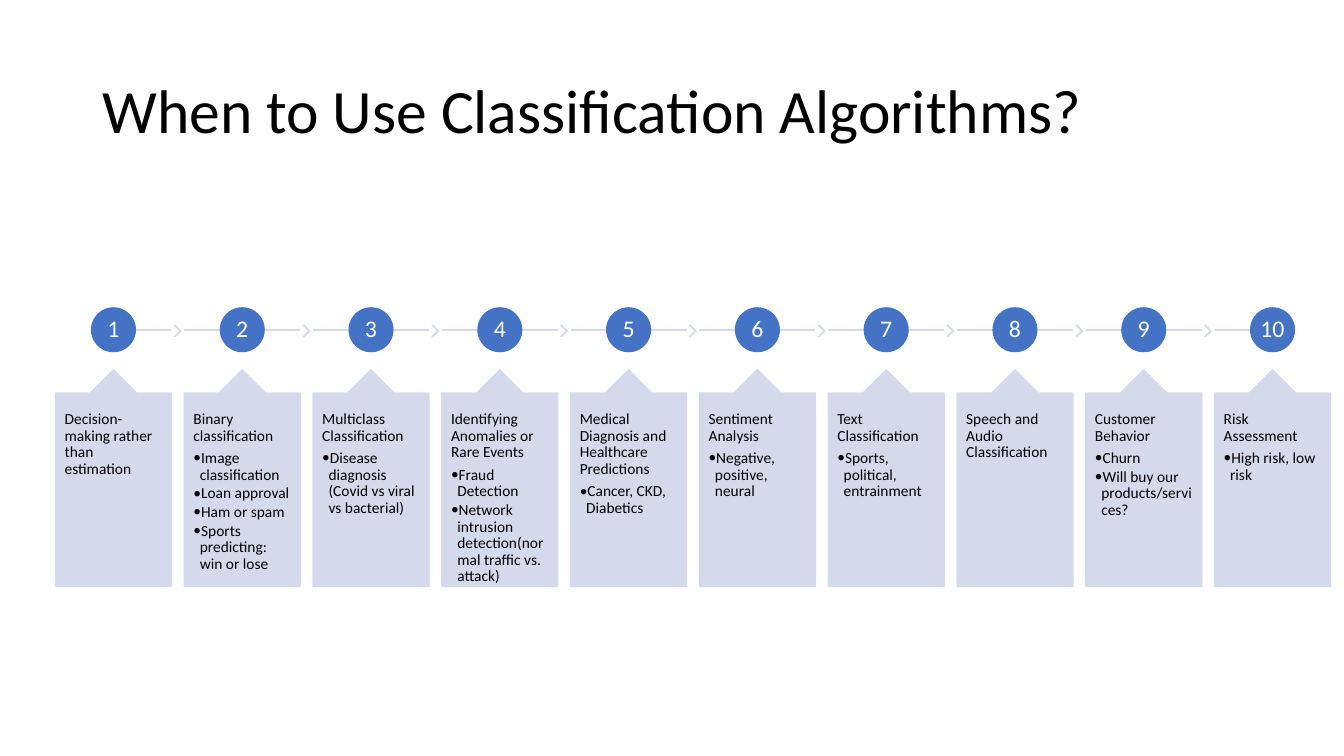
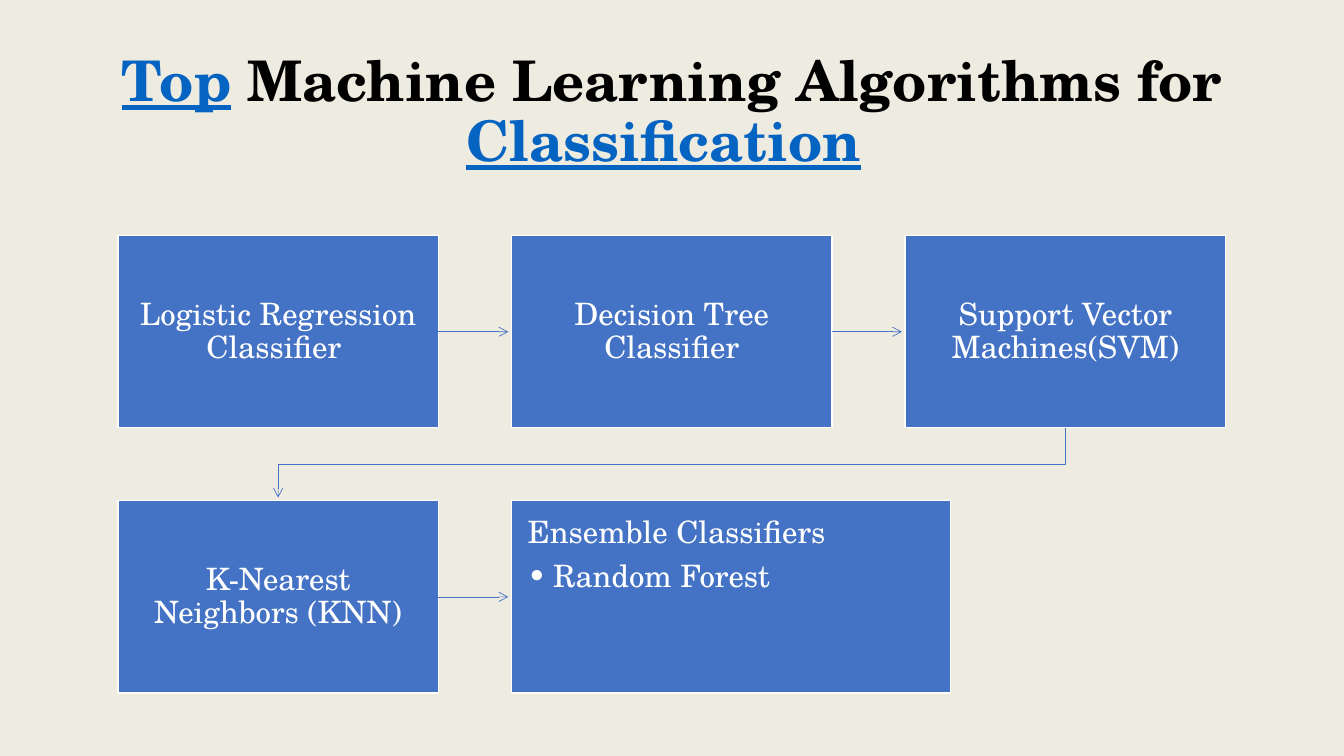
from dataclasses import dataclass

from lxml import etree
from pptx import Presentation
from pptx.dml.color import RGBColor
from pptx.enum import shapes as kinds, text as texts
from pptx.oxml.ns import qn
from pptx.util import Cm, Pt

BLACK = RGBColor(0x00, 0x00, 0x00)
WHITE = RGBColor(0xFF, 0xFF, 0xFF)
BLUE = RGBColor(0x44, 0x72, 0xC4)
PALE_BLUE = RGBColor(0xD4, 0xD9, 0xEC)
LINK_BLUE = RGBColor(0x05, 0x63, 0xC1)
LIGHT_GREY = RGBColor(0xF2, 0xF2, 0xF2)
GOLD = RGBColor(0xBF, 0x90, 0x00)

SANS = "Calibri"
SERIF = "TeX Gyre Schola"
TITLE_ONLY = 5
SLIDE_WIDTH, SLIDE_HEIGHT = 33.87, 19.05
ARROW_GAP = 0.08


@dataclass(frozen=True)
class TextStyle:
    font: str
    size: float
    color: RGBColor
    heading_gap: float = 0
    bullet_gap: float = 0
    indent: float = 0
    bold: bool = False


@dataclass(frozen=True)
class UseCase:
    heading: str
    examples: tuple[str, ...] = ()


@dataclass(frozen=True)
class Classifier:
    name: str
    column: int
    row: int
    width: float = 8.08
    examples: tuple[str, ...] = ()


CARD_STYLE = TextStyle(SANS, 11, BLACK, 4, 1.5, 0.16)
NUMBER_STYLE = TextStyle(SANS, 17, WHITE)
BOX_STYLE = TextStyle(SERIF, 22, WHITE, 7.5, 3.5, 0.64)

USE_CASES = (
    UseCase("Decision-making rather than estimation"),
    UseCase("Binary classification", (
        "Image classification", "Loan approval", "Ham or spam",
        "Sports predicting: win or lose")),
    UseCase("Multiclass Classification", (
        "Disease diagnosis (Covid vs viral vs bacterial)",)),
    UseCase("Identifying Anomalies or Rare Events", (
        "Fraud Detection",
        "Network intrusion detection(normal traffic vs. attack)")),
    UseCase("Medical Diagnosis and Healthcare Predictions", (
        "Cancer, CKD, Diabetics",)),
    UseCase("Sentiment Analysis", ("Negative, positive, neural",)),
    UseCase("Text Classification", ("Sports, political, entrainment",)),
    UseCase("Speech and Audio Classification"),
    UseCase("Customer Behavior", (
        "Churn", "Will buy our products/services?")),
    UseCase("Risk Assessment", ("High risk, low risk",)),
)

CLASSIFIERS = (
    Classifier("Logistic Regression Classifier ", 0, 0),
    Classifier("Decision Tree Classifier", 1, 0),
    Classifier("Support Vector Machines(SVM)", 2, 0),
    Classifier("K-Nearest Neighbors (KNN)", 0, 1),
    Classifier("Ensemble Classifiers", 1, 1, 11.07, ("Random Forest",)),
)


def format_paragraph(paragraph, style: TextStyle, align) -> None:
    paragraph.alignment = align
    paragraph.line_spacing = 0.9
    font = paragraph.font
    font.name, font.size, font.bold = style.font, Pt(style.size), style.bold
    font.color.rgb = style.color


def add_bullet(paragraph, style: TextStyle) -> None:
    properties = paragraph._p.get_or_add_pPr()
    properties.set("marL", str(Cm(style.indent)))
    properties.set("indent", str(-Cm(style.indent)))
    etree.SubElement(properties, qn("a:buFont"), typeface=style.font)
    etree.SubElement(properties, qn("a:buChar"), char="•")


def write_text(shape, heading: str, style: TextStyle, centred: bool,
               margins: tuple[float, float],
               examples: tuple[str, ...] = ()) -> None:
    """Write a heading and bulleted examples; margins are side and top in cm."""
    frame = shape.text_frame
    frame.word_wrap = True
    frame.margin_left = frame.margin_right = Cm(margins[0])
    frame.margin_top = frame.margin_bottom = Cm(margins[1])
    frame.vertical_anchor = (texts.MSO_ANCHOR.MIDDLE if centred
                             else texts.MSO_ANCHOR.TOP)
    align = texts.PP_ALIGN.CENTER if centred else texts.PP_ALIGN.LEFT
    paragraph = frame.paragraphs[0]
    paragraph.text = heading
    format_paragraph(paragraph, style, align)
    if examples:
        paragraph.space_after = Pt(style.heading_gap)
    for example in examples:
        paragraph = frame.add_paragraph()
        paragraph.text = example
        add_bullet(paragraph, style)
        format_paragraph(paragraph, style, align)
        paragraph.space_after = Pt(style.bullet_gap)


def add_shape(slide, kind, left: float, top: float, width: float,
              height: float, fill: RGBColor, line: RGBColor | None,
              adjustments: tuple[float, ...] = ()):
    shape = slide.shapes.add_shape(
        kind, Cm(left), Cm(top), Cm(width), Cm(height))
    shape.shadow.inherit = False
    shape.fill.solid()
    shape.fill.fore_color.rgb = fill
    if line is None:
        shape.line.fill.background()
    else:
        shape.line.color.rgb = line
        shape.line.width = Pt(1)
    for index, value in enumerate(adjustments):
        shape.adjustments[index] = value
    return shape


def add_backdrop(slide) -> None:
    """Cover the slide in grey with a faint gold tint, behind the title."""
    for position, (color, percent) in enumerate(
            ((LIGHT_GREY, 100), (GOLD, 7)), start=2):
        panel = add_shape(slide, kinds.MSO_SHAPE.RECTANGLE, 0, 0,
                          SLIDE_WIDTH, SLIDE_HEIGHT, color, None)
        if percent < 100:
            fill_color = panel.element.spPr.find(
                f"{qn('a:solidFill')}/{qn('a:srgbClr')}")
            etree.SubElement(fill_color, qn("a:alpha"),
                             val=str(percent * 1000))
        slide.shapes.element.insert(position, panel.element)


def style_line(shape, color: RGBColor, width: float, arrow: bool) -> None:
    shape.line.color.rgb = color
    shape.line.width = Pt(width)
    properties = shape.element.spPr
    if arrow:
        etree.SubElement(properties.find(qn("a:ln")), qn("a:tailEnd"),
                         type="arrow")
    if properties.find(qn("a:effectLst")) is None:
        etree.SubElement(properties, qn("a:effectLst"))


def add_line(slide, x1: int, y1: int, x2: int, y2: int):
    return slide.shapes.add_connector(
        kinds.MSO_CONNECTOR.STRAIGHT, x1, y1, x2, y2)


def add_titled_slide(presentation, runs: tuple[tuple[str, bool], ...],
                     style: TextStyle, left: float, width: float, align):
    """Add a slide whose title is made of (text, looks like a link) runs."""
    slide = presentation.slides.add_slide(
        presentation.slide_layouts[TITLE_ONLY])
    title = slide.shapes.title
    title.left, title.top = Cm(left), Cm(1.02)
    title.width, title.height = Cm(width), Cm(3.68)
    title.text_frame.vertical_anchor = texts.MSO_ANCHOR.MIDDLE
    paragraph = title.text_frame.paragraphs[0]
    for text, linked in runs:
        run = paragraph.add_run()
        run.text = text
        if linked:
            run.font.color.rgb = LINK_BLUE
            run.font.underline = True
    format_paragraph(paragraph, style, align)
    return slide


def add_use_case(slide, index: int, use_case: UseCase) -> None:
    first_left, last_left = 1.4, 30.61
    width, circle, line_y = 2.92, 1.1, 8.31
    last_index = len(USE_CASES) - 1
    left = first_left + (last_left - first_left) * index / last_index
    centre = left + width / 2
    last = index == last_index

    line = add_line(slide, Cm(left if index else centre), Cm(line_y),
                    Cm(centre if last else left + width), Cm(line_y))
    style_line(line, PALE_BLUE, 1.5, arrow=False)
    if not last:
        add_shape(slide, kinds.MSO_SHAPE.CHEVRON, left + 3, 8.2, 0.16, 0.28,
                  PALE_BLUE, PALE_BLUE, (0.9,))
    number = add_shape(slide, kinds.MSO_SHAPE.OVAL, centre - circle / 2,
                       line_y - circle / 2, circle, circle, BLUE, BLUE)
    write_text(number, str(index + 1), NUMBER_STYLE, True, (0, 0))
    number.text_frame.word_wrap = False
    card = add_shape(slide, kinds.MSO_SHAPE.UP_ARROW_CALLOUT, left, 9.32,
                     width, 5.46, PALE_BLUE, PALE_BLUE, (0.5, 0.2, 0.2, 1))
    write_text(card, use_case.heading, CARD_STYLE, False, (0.23, 0.46),
               use_case.examples)


def add_classifier(slide, classifier: Classifier):
    box = add_shape(slide, kinds.MSO_SHAPE.RECTANGLE,
                    2.97 + 9.92 * classifier.column,
                    5.94 + 6.68 * classifier.row,
                    classifier.width, 4.84, BLUE, WHITE)
    write_text(box, classifier.name, BOX_STYLE, not classifier.examples,
               (0.41, 0.41), classifier.examples)
    return box


def join_across(slide, start, end) -> None:
    """Draw an arrow from one box that stops just short of the next."""
    middle_y = start.top + start.height // 2
    arrow = add_line(slide, start.left + start.width, middle_y,
                     end.left - Cm(ARROW_GAP), middle_y)
    arrow.begin_connect(start, 3)
    style_line(arrow, BLUE, 0.5, arrow=True)


def join_rows(slide, start, end) -> None:
    """Draw a bent arrow from the bottom of one box to the top of another."""
    start_x = start.left + start.width // 2
    start_y = start.top + start.height
    end_x = end.left + end.width // 2
    middle_y = (start_y + end.top) // 2
    builder = slide.shapes.build_freeform(start_x, start_y)
    builder.add_line_segments(
        [(start_x, middle_y), (end_x, middle_y),
         (end_x, end.top - Cm(ARROW_GAP))], close=False)
    arrow = builder.convert_to_shape()
    arrow.shadow.inherit = False
    arrow.fill.background()
    style_line(arrow, BLUE, 0.5, arrow=True)


def build_use_cases(presentation) -> None:
    slide = add_titled_slide(
        presentation, (("When to Use Classification Algorithms?", False),),
        TextStyle(SANS, 44, BLACK), 2.33, 29.21, texts.PP_ALIGN.LEFT)
    for index, use_case in enumerate(USE_CASES):
        add_use_case(slide, index, use_case)


def build_classifiers(presentation) -> None:
    slide = add_titled_slide(
        presentation,
        (("Top", True), (" Machine Learning Algorithms for ", False),
         ("Classification", True), (" ", False)),
        TextStyle(SERIF, 40, BLACK, bold=True), 1.52, 30.81,
        texts.PP_ALIGN.CENTER)
    add_backdrop(slide)
    boxes = [add_classifier(slide, classifier) for classifier in CLASSIFIERS]
    for index, (start, end) in enumerate(zip(boxes, boxes[1:])):
        same_row = CLASSIFIERS[index].row == CLASSIFIERS[index + 1].row
        (join_across if same_row else join_rows)(slide, start, end)


def main() -> None:
    presentation = Presentation()
    presentation.slide_width = Cm(SLIDE_WIDTH)
    presentation.slide_height = Cm(SLIDE_HEIGHT)
    build_use_cases(presentation)
    build_classifiers(presentation)
    presentation.save("out.pptx")


if __name__ == "__main__":
    main()
